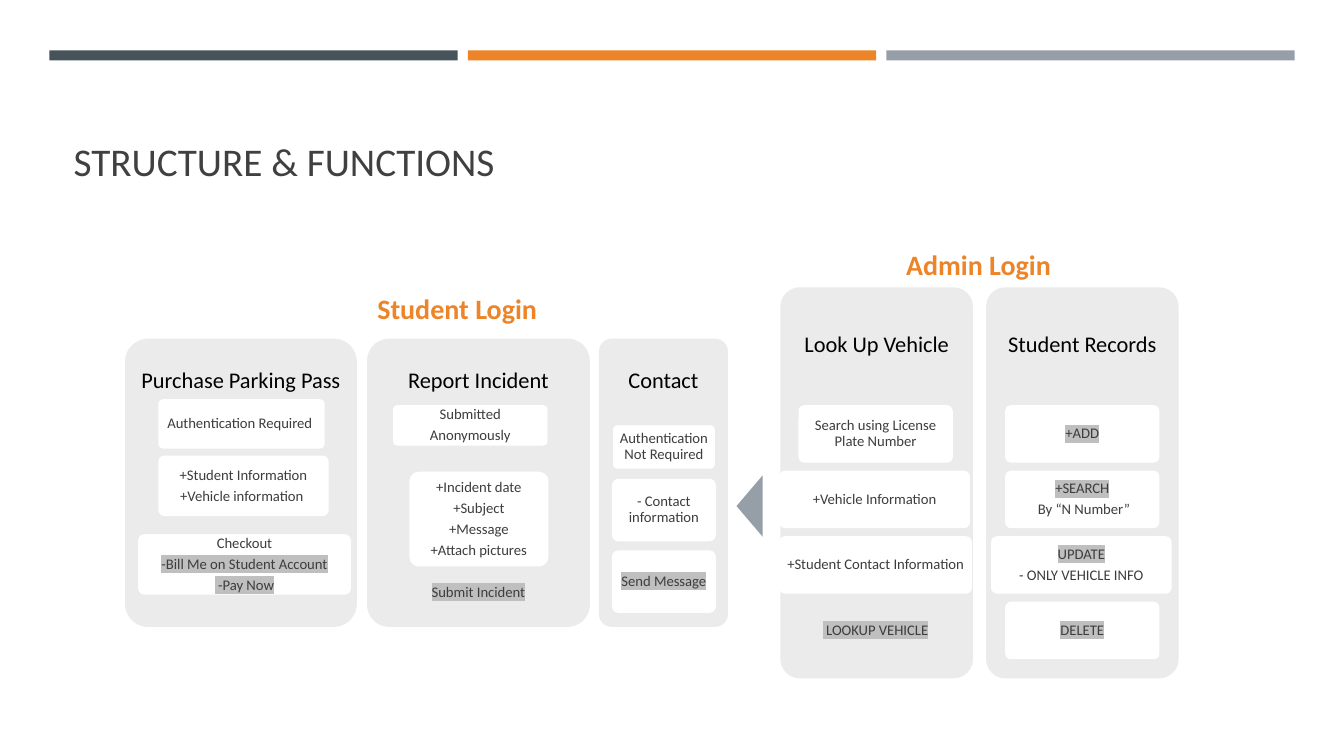
from lxml import etree
from pptx import Presentation
from pptx.dml.color import RGBColor
from pptx.enum.shapes import MSO_SHAPE as SHAPE
from pptx.enum.text import MSO_ANCHOR as ANCHOR, MSO_AUTO_SIZE as AUTO, PP_ALIGN as ALIGN
from pptx.oxml.ns import qn
from pptx.util import Pt

PX = 9144  # 100 px to the inch
FONT = "Calibri"
SLATE = RGBColor(0x46, 0x53, 0x59)
ORANGE = RGBColor(0xED, 0x84, 0x28)
GREY = RGBColor(0x96, 0x9F, 0xA7)
PANEL = RGBColor(0xEB, 0xEB, 0xEB)
WHITE = RGBColor(0xFF, 0xFF, 0xFF)
BLACK = RGBColor(0, 0, 0)
TITLE = RGBColor(0x40, 0x40, 0x40)
INK = RGBColor(0x3D, 0x3D, 0x3D)
MARK = RGBColor(0xBF, 0xBF, 0xBF)


def add_box(shapes, kind, box, fill):
    sp = shapes.add_shape(kind, *(v * PX for v in box))
    sp.shadow.inherit = False
    sp.fill.solid()
    sp.fill.fore_color.rgb = fill
    sp.line.fill.background()
    if kind == SHAPE.ROUNDED_RECTANGLE:
        sp.adjustments[0] = 0.1
    return sp


def write(sp, lines, size, color, margins, align=ALIGN.CENTER, anchor=ANCHOR.MIDDLE,
          bold=False, spacing=None, after=0):
    """Fill a shape with one paragraph per line; a leading * highlights the line."""
    tf = sp.text_frame
    frame = {"word_wrap": True, "auto_size": AUTO.NONE, "vertical_anchor": anchor,
             "margin_left": margins[0] * PX, "margin_right": margins[0] * PX,
             "margin_top": margins[1] * PX, "margin_bottom": margins[1] * PX}
    for name, value in frame.items():
        setattr(tf, name, value)
    for i, line in enumerate(lines):
        p = tf.add_paragraph() if i else tf.paragraphs[0]
        para = {"alignment": align, "line_spacing": spacing, "space_after": Pt(size * after)}
        for name, value in para.items():
            setattr(p, name, value)
        r = p.add_run()
        r.text = line.removeprefix("*")
        for name, value in {"name": FONT, "size": Pt(size), "bold": bold}.items():
            setattr(r.font, name, value)
        r.font.color.rgb = color
        if line.startswith("*"):
            highlight = etree.Element(qn("a:highlight"))
            etree.SubElement(highlight, qn("a:srgbClr"), val=str(MARK))
            r.font._element.find(qn("a:solidFill")).addnext(highlight)


prs = Presentation()
prs.slide_width, prs.slide_height = 1333 * PX, 750 * PX
s = prs.slides.add_slide(prs.slide_layouts[5])

for i, color in enumerate((SLATE, ORANGE, GREY)):
    add_box(s.shapes, SHAPE.RECTANGLE, (49 + 415 * i, 50, 405, 10), color)

title = s.shapes.title
for name, value in {"left": 63, "top": 80, "width": 1206, "height": 108}.items():
    setattr(title, name, value * PX)
write(title, ["STRUCTURE & FUNCTIONS"], 28, TITLE, (10, 5), ALIGN.LEFT, ANCHOR.BOTTOM)

# Cards: left, top, width, height, fill, lines
ROWS = [402 + 65 * i for i in range(4)]
student_panels = [
    ("Purchase Parking Pass", 124, 230, [
        (157, 396, 165, 49, WHITE, ["Authentication Required "]),
        (157, 452, 169, 60, WHITE, ["+Student Information", "+Vehicle information "]),
        (137, 530, 211, 60, WHITE, ["Checkout", "*-Bill Me on Student Account", "* -Pay Now"]),
    ]),
    ("Report Incident", 364, 221, [
        (390, 402, 153, 40, WHITE, ["Submitted", "Anonymously"]),
        (406, 468, 138, 94, WHITE,
         ["+Incident date", "+Subject", "+Message", "+Attach pictures"]),
        (404, 568, 141, 40, PANEL, ["*Submit Incident"]),
    ]),
    ("Contact", 594, 128, [
        (608, 422, 101, 43, WHITE, ["Authentication Not Required"]),
        (607, 475, 103, 62, WHITE, ["- Contact information"]),
        (607, 546, 103, 62, WHITE, ["*Send Message"]),
    ]),
]
admin_panels = [
    ("Look Up Vehicle", 774, 191, [
        (792, ROWS[0], 153, 57, WHITE, ["Search using License Plate Number"]),
        (773, ROWS[1], 189, 57, WHITE, ["+Vehicle Information"]),
        (773, ROWS[2], 191, 57, WHITE, ["+Student Contact Information"]),
        (792, ROWS[3], 153, 57, PANEL, ["* LOOKUP VEHICLE"]),
    ]),
    ("Student Records", 978, 191, [
        (997, ROWS[0], 153, 57, WHITE, ["*+ADD"]),
        (997, ROWS[1], 153, 57, WHITE, ["*+SEARCH", " By “N Number”"]),
        (983, ROWS[2], 179, 57, WHITE, ["*UPDATE", "- ONLY VEHICLE INFO"]),
        (997, ROWS[3], 153, 57, WHITE, ["*DELETE"]),
    ]),
]
logins = [
    ("Student Login", (346, 284, 215, 44), 336, 286, student_panels),
    ("Admin Login", (873, 241, 195, 44), 285, 388, admin_panels),
]

arrow = add_box(s.shapes, SHAPE.ISOSCELES_TRIANGLE, (713, 489, 61, 26), GREY)
arrow.rotation = 270

for login, label_box, top, height, panels in logins:
    label = s.shapes.add_textbox(*(v * PX for v in label_box))
    write(label, [login], 20, ORANGE, (10, 5), anchor=ANCHOR.TOP, bold=True)
    group = s.shapes.add_group_shape().shapes
    for heading, left, width, cards in panels:
        add_box(group, SHAPE.ROUNDED_RECTANGLE, (left, top, width, height), PANEL)
        head = group.add_textbox(left * PX, top * PX, width * PX, height * 3 // 10 * PX)
        write(head, [heading], 16, BLACK, (7, 7), spacing=0.9, after=0.35)
        for *box, fill, lines in cards:
            card = add_box(group, SHAPE.ROUNDED_RECTANGLE, box, fill)
            write(card, lines, 10.5, INK, (3, 2), spacing=0.9, after=0.35)

prs.save("out.pptx")
